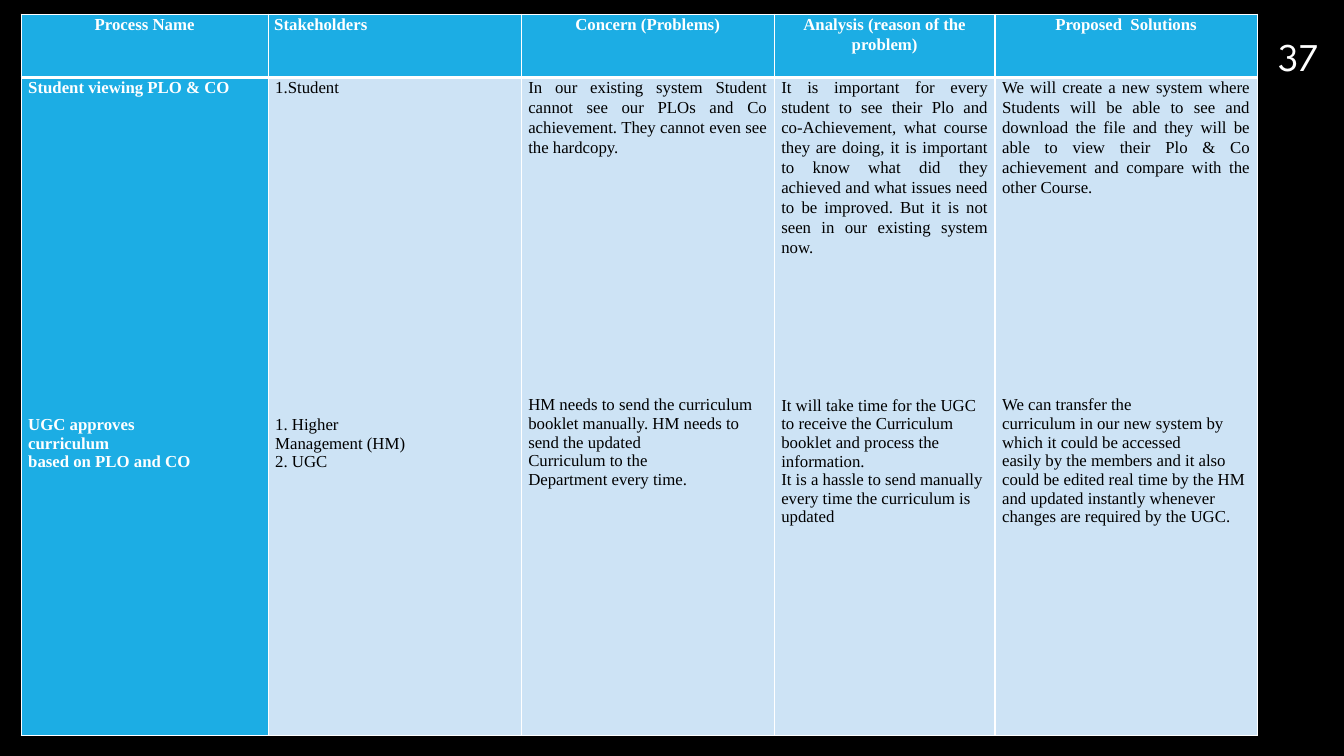
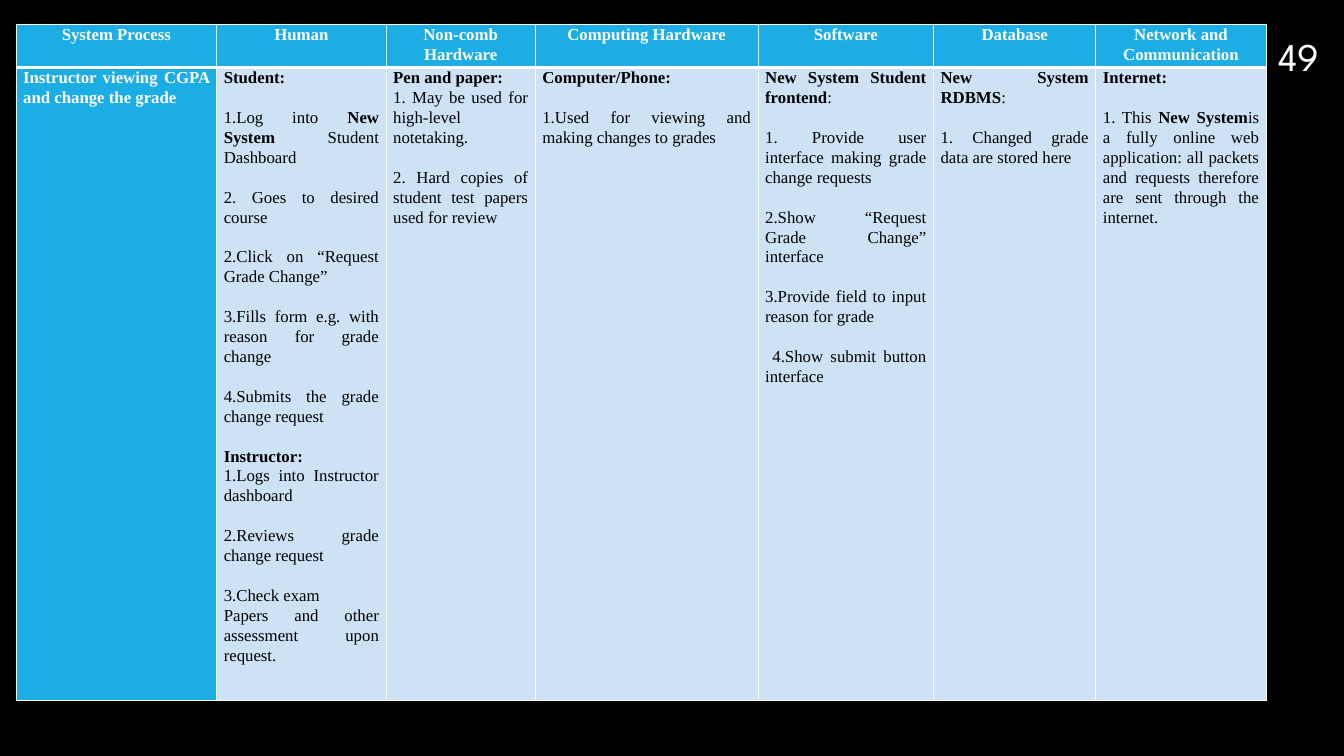
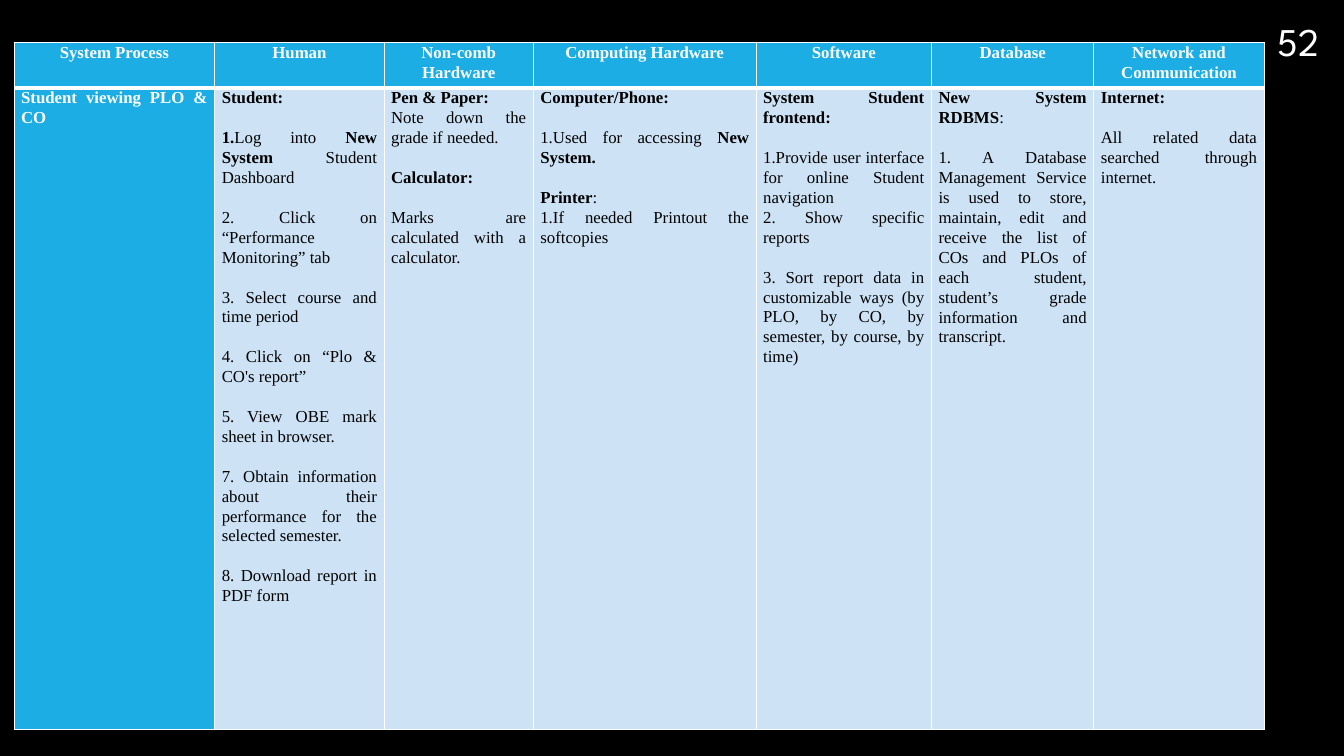
from dataclasses import dataclass

from lxml import etree
from pptx import Presentation, util as u
from pptx.dml.color import RGBColor
from pptx.enum import text as t
from pptx.oxml import ns


@dataclass(frozen=True)
class Theme:
    backdrop = RGBColor(0x00, 0x00, 0x00)
    accent = RGBColor(0x1C, 0xAD, 0xE4)
    pale = RGBColor(0xCD, 0xE3, 0xF5)
    light = RGBColor(0xFF, 0xFF, 0xFF)
    dark = RGBColor(0x00, 0x00, 0x00)
    table_font = "Times New Roman"
    number_font = "League Spartan"
    table_size = u.Pt(12)
    number_size = u.Pt(28)
    line_spacing = 1.07
    blank_line = 14.2  # points taken by one empty line
    thin, thick = u.Pt(1), u.Pt(3)
    cell_margin = u.Inches(0.07)
    header_margin = u.Inches(0.06)


THEME = Theme()
SLIDE_SIZE = u.Inches(13.33), u.Inches(7.5)
CENTER, LEFT, JUSTIFY = t.PP_ALIGN.CENTER, t.PP_ALIGN.LEFT, t.PP_ALIGN.JUSTIFY

RESOURCE_HEADERS = ["System Process", "Human", "Non-comb Hardware", "Computing Hardware",
                    "Software", "Database", "Network and Communication"]
RESOURCE_COLUMNS = [1.99, 1.68, 1.48, 2.21, 1.74, 1.61, 1.69]

# In cell texts, ** switches bold and an empty line becomes paragraph spacing.
# A concern cell is (student process, empty lines between, approval process).
CONCERNS = dict(
    number="37", number_top=0, left=0.21, top=0.14,
    columns=[2.45, 2.51, 2.51, 2.19, 2.6], rows=[0.63, 6.53],
    headers=["Process Name", "Stakeholders", "Concern (Problems)",
             "Analysis (reason of the problem)", "Proposed  Solutions"],
    left_headers=["Stakeholders"],
    body=[
        ("**Student viewing PLO & CO**", 16,
         "**UGC approves**\n**curriculum**\n**based on PLO and CO**"),
        ("1.Student", 16, "1. Higher\nManagement (HM)\n2. UGC"),
        ("In our existing system Student cannot see our PLOs and Co achievement. "
         "They cannot even see the hardcopy.", 12,
         "HM needs to send the curriculum\n"
         "booklet manually. HM needs to send the updated\n"
         "Curriculum to the\nDepartment every time."),
        ("It is important for every student to see their Plo and co-Achievement, what course "
         "they are doing, it is important to know what did they achieved and what issues need "
         "to be improved. But it is not seen in our existing system now.", 7,
         "It will take time for the UGC to receive the Curriculum booklet and process the "
         "information.\n"
         "It is a hassle to send manually every time the curriculum is updated"),
        ("We will create a new system where Students will be able to see and download the file "
         "and they will be able to view their Plo & Co achievement and compare with the other "
         "Course.", 10,
         "We can transfer the\n"
         "curriculum in our new system by which it could be accessed\n"
         "easily by the members and it also could be edited real time by the HM and updated "
         "instantly whenever changes are required by the UGC."),
    ])

GRADE_CHANGE = dict(
    number="49", number_top=0, left=0.16, top=0.24,
    columns=RESOURCE_COLUMNS, rows=[0.43, 6.13], headers=RESOURCE_HEADERS,
    body=[
        "**Instructor viewing CGPA and change the grade**",
        """**Student:**

1.Log into **New System** Student Dashboard

2. Goes to desired course

2.Click on “Request Grade Change”

3.Fills form e.g. with reason for grade change

4.Submits the grade change request

**Instructor:**
1.Logs into Instructor dashboard

2.Reviews grade change request

3.Check exam
Papers and other assessment upon request.""",
        """**Pen and paper:**
1. May be used for high-level notetaking.

2. Hard copies of student test papers used for review""",
        """**Computer/Phone:**

1.Used for viewing and making changes to grades""",
        """**New System Student frontend**:

1. Provide user interface making grade change requests

2.Show “Request Grade Change” interface

3.Provide field to input reason for grade

 4.Show submit button interface""",
        """**New System RDBMS**:

1. Changed grade data are stored here""",
        """**Internet:**

1. This **New System**is a fully online web application: all packets and requests \
therefore are sent through the internet.""",
    ])

OUTCOME_VIEW = dict(
    number="52", number_top=-0.15, left=0.14, top=0.42,
    columns=RESOURCE_COLUMNS, rows=[0.45, 6.37], headers=RESOURCE_HEADERS,
    body=[
        "**Student viewing PLO & CO**",
        """**Student:**

**1.**Log into **New System** Student Dashboard

2. Click on “Performance Monitoring” tab

3. Select course and time period

4. Click on “Plo & CO's report”

5. View OBE mark sheet in browser.

7. Obtain information about their performance for the selected semester.

8. Download report in PDF form""",
        """**Pen & Paper:**
Note down the grade if needed.

**Calculator:**

Marks are calculated with a calculator.""",
        """**Computer/Phone:**

1.Used for accessing **New System.**

**Printer**:
1.If needed Printout the softcopies""",
        """**System Student frontend:**

1.Provide user interface for online Student navigation
2. Show specific reports

3. Sort report data in customizable ways (by PLO, by CO, by semester, by course, by time)""",
        """**New System RDBMS**:

1. A Database Management Service is used to store, maintain, edit and receive the list of \
COs and PLOs of each student, student’s grade information and transcript.""",
        """**Internet:**

All related data searched through internet.""",
    ])


def set_font(font, name, size, color):
    font.name, font.size = name, size
    font.color.rgb = color


def write_lines(frame, content, color, align, spacing, blank_lines=0):
    """Add one paragraph per line; empty lines widen the gap before the next one."""
    for line in content.split("\n"):
        if not line:
            blank_lines += 1
            continue
        first = frame.paragraphs[0]
        paragraph = frame.add_paragraph() if first.runs else first
        paragraph.alignment, paragraph.line_spacing = align, spacing
        paragraph.space_before = u.Pt(round(blank_lines * THEME.blank_line, 1))
        blank_lines = 0
        set_font(paragraph.font, THEME.table_font, THEME.table_size, color)
        pieces = [(i % 2 == 1, piece) for i, piece in enumerate(line.split("**")) if piece]
        for bold, piece in pieces:
            run = paragraph.add_run()
            run.text = piece
            font = paragraph.font if len(pieces) == 1 else run.font
            font.bold = bold


def draw_borders(cell, **widths):
    properties = cell._tc.get_or_add_tcPr()
    for side in "LRTB":
        line = etree.SubElement(properties, ns.qn(f"a:ln{side}"),
                                w=str(int(widths.get(side, THEME.thin))))
        fill = etree.SubElement(line, ns.qn("a:solidFill"))
        etree.SubElement(fill, ns.qn("a:srgbClr"), val=str(THEME.light))


def style_cell(cell, fill, margin, **border_widths):
    cell.margin_left = cell.margin_right = margin
    cell.margin_top = cell.margin_bottom = 0
    draw_borders(cell, **border_widths)
    cell.fill.solid()
    cell.fill.fore_color.rgb = fill


def add_process_table(slide, left, top, columns, rows, headers, body, left_headers=()):
    table = slide.shapes.add_table(
        2, len(columns), u.Inches(left), u.Inches(top),
        u.Inches(sum(columns)), u.Inches(sum(rows))).table
    table.horz_banding = False
    for row, height in zip(table.rows, rows):
        row.height = u.Inches(height)

    for index, (width, header, content) in enumerate(zip(columns, headers, body)):
        table.columns[index].width = u.Inches(width)
        head, detail = table.cell(0, index), table.cell(1, index)

        style_cell(head, THEME.accent, THEME.header_margin, B=THEME.thick)
        write_lines(head.text_frame, f"**{header}**", THEME.light,
                    LEFT if header in left_headers else CENTER, THEME.line_spacing)

        fill, color = (THEME.pale, THEME.dark) if index else (THEME.accent, THEME.light)
        style_cell(detail, fill, THEME.cell_margin, T=THEME.thick)
        upper, gap, lower = (content, 0, "") if isinstance(content, str) else content
        write_lines(detail.text_frame, upper, color, JUSTIFY, THEME.line_spacing)
        write_lines(detail.text_frame, lower, color, LEFT, 1.0, gap)


def add_page_number(slide, number, top):
    box = slide.shapes.add_textbox(u.Inches(12.42), u.Inches(top), u.Inches(0.92), u.Inches(0.84))
    frame = box.text_frame
    frame.word_wrap = True
    frame.vertical_anchor = t.MSO_ANCHOR.BOTTOM
    paragraph = frame.paragraphs[0]
    paragraph.text = number
    paragraph.alignment = CENTER
    set_font(paragraph.font, THEME.number_font, THEME.number_size, THEME.light)


def add_process_slide(deck, number, number_top, **table):
    slide = deck.slides.add_slide(deck.slide_layouts[6])
    add_page_number(slide, number, number_top)
    add_process_table(slide, **table)


def main():
    deck = Presentation()
    deck.slide_width, deck.slide_height = SLIDE_SIZE
    backdrop = deck.slide_master.background.fill
    backdrop.solid()
    backdrop.fore_color.rgb = THEME.backdrop
    for content in (CONCERNS, GRADE_CHANGE, OUTCOME_VIEW):
        add_process_slide(deck, **content)
    deck.save("out.pptx")


if __name__ == "__main__":
    main()
